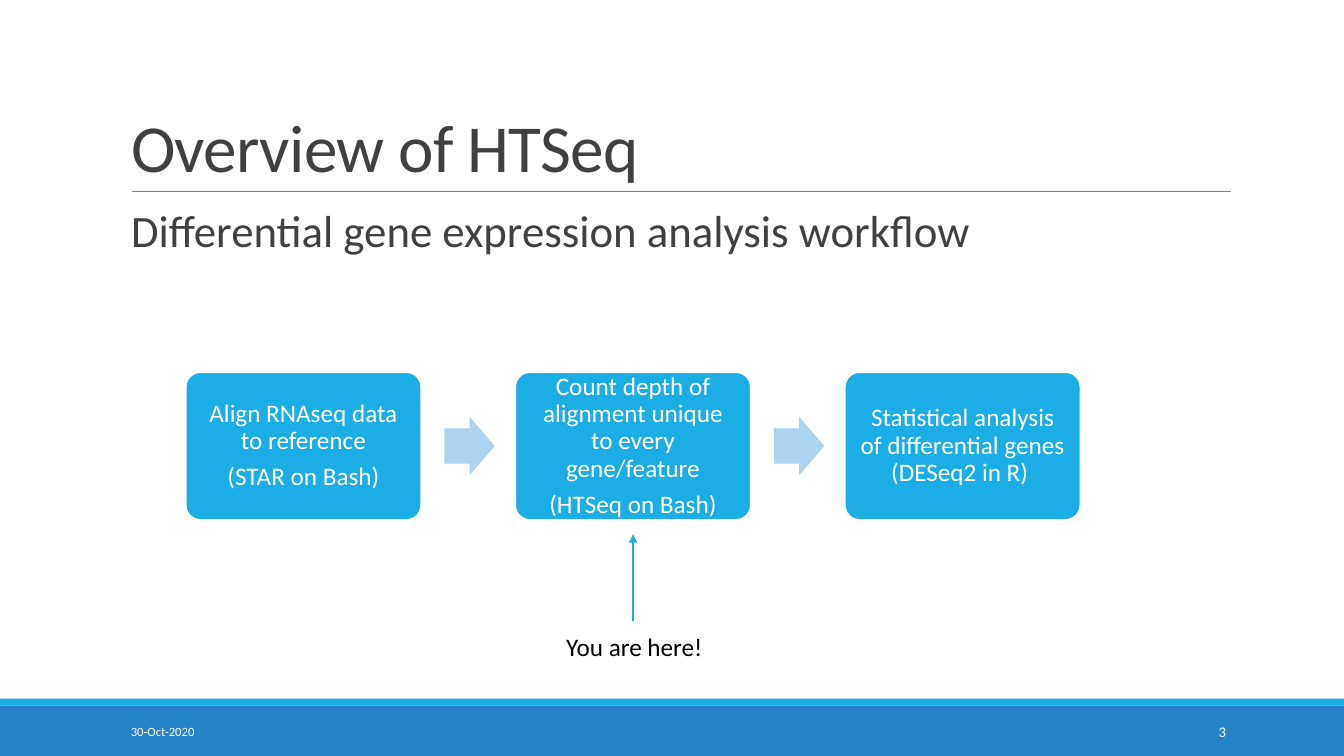
from dataclasses import dataclass

from lxml import etree
from pptx import Presentation
from pptx.dml.color import RGBColor
from pptx.enum.shapes import MSO_CONNECTOR, MSO_SHAPE
from pptx.enum.text import MSO_ANCHOR, MSO_AUTO_SIZE, PP_ALIGN
from pptx.oxml.ns import qn
from pptx.util import Pt

RECTANGLE, ROUNDED = MSO_SHAPE.RECTANGLE, MSO_SHAPE.ROUNDED_RECTANGLE
RIGHT_ARROW, STRAIGHT = MSO_SHAPE.RIGHT_ARROW, MSO_CONNECTOR.STRAIGHT
LEFT, CENTER, RIGHT = PP_ALIGN.LEFT, PP_ALIGN.CENTER, PP_ALIGN.RIGHT
TOP, MIDDLE, BOTTOM = MSO_ANCHOR.TOP, MSO_ANCHOR.MIDDLE, MSO_ANCHOR.BOTTOM
NO_AUTOFIT = MSO_AUTO_SIZE.NONE

WHITE = RGBColor(0xFF, 0xFF, 0xFF)
BLACK = RGBColor(0x00, 0x00, 0x00)
DARK_GREY = RGBColor(0x40, 0x40, 0x40)
RULE_GREY = RGBColor(0x80, 0x80, 0x80)
BLUE = RGBColor(0x26, 0x83, 0xC6)
CYAN = RGBColor(0x1C, 0xAD, 0xE4)
PALE_BLUE = RGBColor(0xAC, 0xD3, 0xEF)
FONT = "Calibri"

SLIDE_WIDTH, SLIDE_HEIGHT = 960, 540
MARGIN_LEFT, CONTENT_WIDTH = 86.4, 792
STEP_LEFT, STEP_TOP, STEP_PITCH = 132.6, 265.8, 235.4
STEP_WIDTH, STEP_HEIGHT = 168.3, 105.6
ARROW_OFFSET, ARROW_WIDTH, ARROW_HEIGHT = 184.8, 36, 42


@dataclass(frozen=True)
class Area:
    left: float
    top: float
    width: float
    height: float


STEPS = [
    ["Align RNAseq data to reference", "(STAR on Bash)"],
    ["Count depth of alignment unique to every gene/feature", "(HTSeq on Bash)"],
    ["Statistical analysis of differential genes (DESeq2 in R) "],
]


def write_text(box, lines: list[str], *, size: float, color: RGBColor,
               align=LEFT, anchor=TOP, insets=(7.2, 3.6), line_spacing=1.0,
               before: float = 0, after: float = 0) -> None:
    frame = box.text_frame
    frame.word_wrap = True
    frame.auto_size = NO_AUTOFIT
    frame.vertical_anchor = anchor
    frame.margin_left = frame.margin_right = Pt(insets[0])
    frame.margin_top = frame.margin_bottom = Pt(insets[1])
    for index, line in enumerate(lines):
        para = frame.paragraphs[0] if index == 0 else frame.add_paragraph()
        para.alignment = align
        para.line_spacing = line_spacing
        para.space_before, para.space_after = Pt(before), Pt(after)
        span = para.add_run()
        span.text = line
        span.font.name, span.font.size = FONT, Pt(size)
        span.font.color.rgb = color


def place(box, area: Area) -> None:
    box.left, box.top = Pt(area.left), Pt(area.top)
    box.width, box.height = Pt(area.width), Pt(area.height)


def add_box(page, kind, area: Area, fill: RGBColor, adjustments=(), line=None):
    box = page.shapes.add_shape(kind, Pt(area.left), Pt(area.top),
                                Pt(area.width), Pt(area.height))
    box.shadow.inherit = False
    box.fill.solid()
    box.fill.fore_color.rgb = fill
    if line is None:
        box.line.fill.background()
    else:
        box.line.color.rgb, box.line.width = line, Pt(1.25)
    for index, value in enumerate(adjustments):
        box.adjustments[index] = value
    return box


def add_label(page, area: Area, text: str, **text_format) -> None:
    box = page.shapes.add_textbox(Pt(area.left), Pt(area.top),
                                  Pt(area.width), Pt(area.height))
    write_text(box, [text], **text_format)


def add_line(page, start: tuple[float, float], end: tuple[float, float],
             color: RGBColor, width: float, arrowhead: bool = False) -> None:
    line = page.shapes.add_connector(STRAIGHT, Pt(start[0]), Pt(start[1]),
                                     Pt(end[0]), Pt(end[1]))
    line.line.color.rgb, line.line.width = color, Pt(width)
    if arrowhead:
        etree.SubElement(line.line._get_or_add_ln(), qn("a:tailEnd"), type="triangle")
    etree.SubElement(line._element.spPr, qn("a:effectLst"))


deck = Presentation()
deck.slide_width, deck.slide_height = Pt(SLIDE_WIDTH), Pt(SLIDE_HEIGHT)
page = deck.slides.add_slide(deck.slide_layouts[1])

# Footer bands and title rule
add_box(page, RECTANGLE, Area(0, 504, SLIDE_WIDTH, 36), BLUE)
add_box(page, RECTANGLE, Area(0, 499, SLIDE_WIDTH, 5), CYAN)
add_line(page, (94.3, 136.8), (879, 136.8), RULE_GREY, 0.5)

# Title and subtitle
title = page.shapes.title
place(title, Area(MARGIN_LEFT, 22.3, CONTENT_WIDTH, 114.5))
write_text(title, ["Overview of HTSeq"], size=48, color=DARK_GREY,
           anchor=BOTTOM, line_spacing=0.85)
title.text_frame.paragraphs[0].runs[0].font._element.set("spc", "-50")

body = page.placeholders[1]
place(body, Area(MARGIN_LEFT, 145.4, CONTENT_WIDTH, 96.5))
write_text(body, ["Differential gene expression analysis workflow"], size=32,
           color=DARK_GREY, insets=(0, 3.6), line_spacing=0.9, before=12, after=2)
properties = body.text_frame.paragraphs[0]._p.get_or_add_pPr()
properties.set("marL", str(Pt(7.2)))
properties.set("indent", "0")
etree.SubElement(properties, qn("a:buNone"))

# Workflow steps, with an arrow after each but the last
for number, lines in enumerate(STEPS):
    left = STEP_LEFT + number * STEP_PITCH
    step = add_box(page, ROUNDED, Area(left, STEP_TOP, STEP_WIDTH, STEP_HEIGHT),
                   CYAN, [0.1], WHITE)
    write_text(step, lines, size=18, color=WHITE, align=CENTER, anchor=MIDDLE,
               insets=(8, 8), line_spacing=0.9, after=6.3)
    if number < len(STEPS) - 1:
        arrow_top = STEP_TOP + (STEP_HEIGHT - ARROW_HEIGHT) / 2
        add_box(page, RIGHT_ARROW,
                Area(left + ARROW_OFFSET, arrow_top, ARROW_WIDTH, ARROW_HEIGHT),
                PALE_BLUE, [0.6, 0.5])

# Marker for the current step
add_line(page, (452.2, 443.5), (452.2, 381.6), CYAN, 1, arrowhead=True)
add_label(page, Area(397.4, 447.1, 119.5, 29), "You are here!", size=18, color=BLACK)

# Date and page number
add_label(page, Area(MARGIN_LEFT, 508.3, 194.4, 28.8), "30-Oct-2020",
          size=9, color=WHITE, anchor=MIDDLE)
add_label(page, Area(779.8, 508.3, 103, 28.8), "3",
          size=10.5, color=WHITE, align=RIGHT, anchor=MIDDLE)

deck.save("out.pptx")
